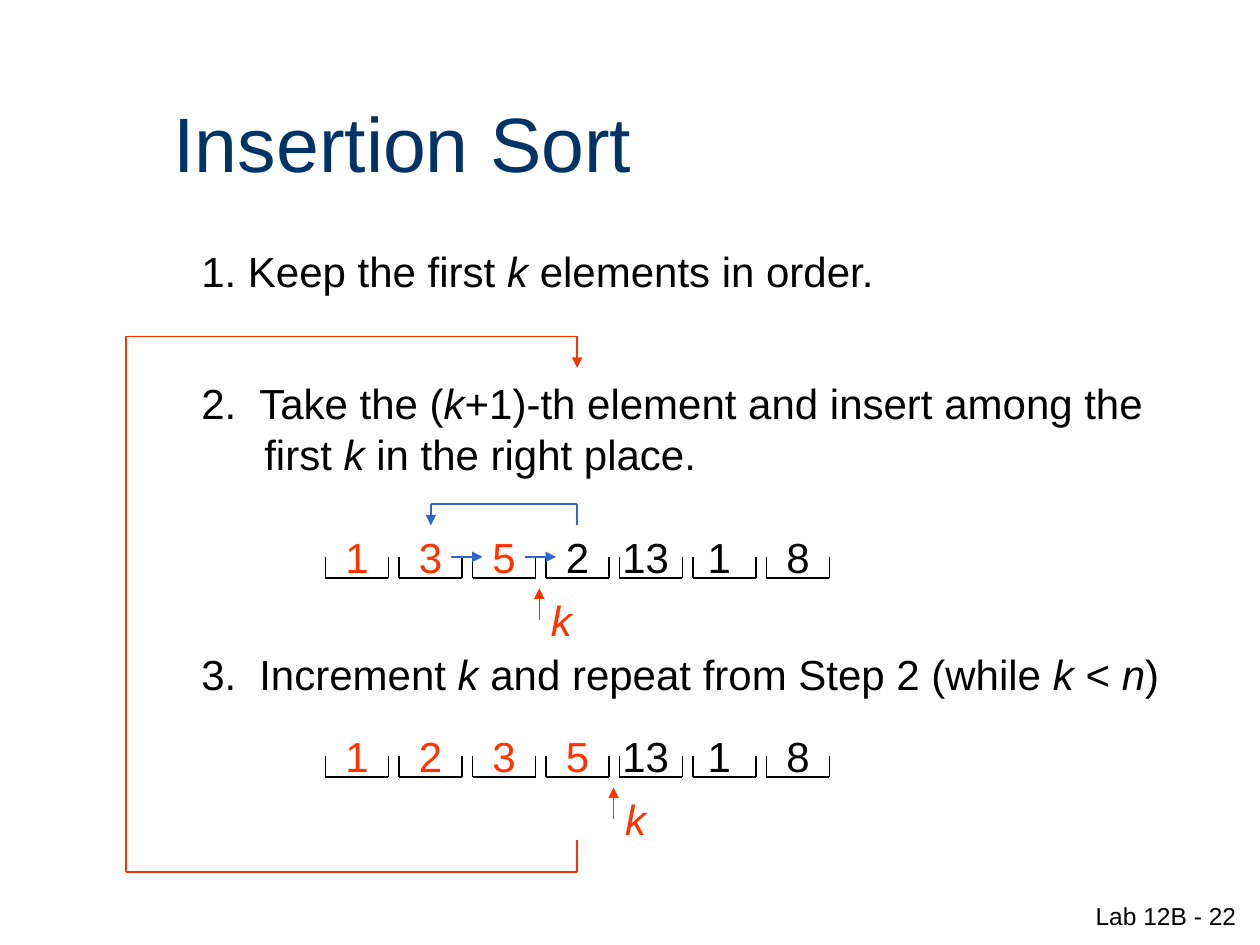
from dataclasses import dataclass
from itertools import pairwise

from pptx import Presentation
from pptx.dml.color import RGBColor
from pptx.enum.shapes import MSO_CONNECTOR
from pptx.enum.text import MSO_ANCHOR, PP_ALIGN
from pptx.oxml.ns import qn
from pptx.util import Inches, Pt
from lxml.etree import SubElement


@dataclass(frozen=True)
class Theme:
    """Hold the colours, font and sizes of the slide."""

    font: str = "Arial"
    black: str = "000000"
    navy: str = "003366"
    red: str = "FF3300"
    blue: str = "3366CC"
    title_size: int = 44
    body_size: int = 24
    footer_size: int = 14
    line_width: float = 0.75


THEME = Theme()
CELL_WIDTH = 0.5
CELL_PITCH = 7 / 12
ROW_LEFT = 31 / 12
BRACKET_HEIGHT = 1 / 6
WIDE_COLUMNS = (4, 5)


def add_text(page, at, *paragraphs, size=THEME.body_size, color=THEME.black,
             align=PP_ALIGN.LEFT, anchor=MSO_ANCHOR.TOP):
    """Add a text box; each paragraph lists plain and *italic* parts with its spacing."""
    box = page.shapes.add_textbox(*map(Inches, at))
    frame = box.text_frame
    frame.word_wrap = True
    frame.vertical_anchor = anchor
    for index, (text, before, margin, indent) in enumerate(paragraphs):
        para = frame.paragraphs[0] if index == 0 else frame.add_paragraph()
        para.alignment = align
        para.space_before = Pt(before)
        properties = para._p.get_or_add_pPr()
        properties.set("marL", str(Inches(margin)))
        properties.set("indent", str(Inches(indent)))
        for part, words in enumerate(text.split("*")):
            if words:
                span = para.add_run()
                span.text = words
                span.font.name = THEME.font
                span.font.size = Pt(size)
                span.font.italic = part % 2 == 1
                span.font.color.rgb = RGBColor.from_string(color)
    return box


def add_label(page, at, text, **text_format):
    """Add a text box with a single unindented paragraph."""
    return add_text(page, at, (text, 0, 0, 0), **text_format)


def add_path(page, points, color, arrow=False):
    """Join points with straight lines, with an optional arrowhead at the end."""
    for start, end in pairwise(points):
        line = page.shapes.add_connector(
            MSO_CONNECTOR.STRAIGHT, *map(Inches, (*start, *end)))
        line.line.width = Pt(THEME.line_width)
        line.line.color.rgb = RGBColor.from_string(color)
        SubElement(line._element.spPr, qn("a:effectLst"))
    if arrow:
        SubElement(line.line._get_or_add_ln(), qn("a:tailEnd"), type="triangle")


def add_array(page, top, values, sorted_count):
    """Draw a row of bracketed values with the sorted ones in red."""
    for column, value in enumerate(values):
        left = ROW_LEFT + column * CELL_PITCH
        right = left + CELL_WIDTH
        upper = top + 0.25
        lower = upper + BRACKET_HEIGHT
        add_path(page, [(left, upper), (left, lower), (right, lower), (right, upper)],
                 THEME.black)
        wide = column in WIDE_COLUMNS
        at = (left - 1 / 6, top, 0.75, 0.5) if wide else (left, top, CELL_WIDTH, 0.5)
        color = THEME.red if column < sorted_count else THEME.black
        add_label(page, at, value, color=color, align=PP_ALIGN.CENTER)


def add_marker(page, x, top):
    """Mark the boundary k with an upward arrow and a letter."""
    add_path(page, [(x, top + 0.25), (x, top)], THEME.red, arrow=True)
    add_label(page, (x - 0.2, top, 0.75, 0.5), "*k*",
              color=THEME.red, align=PP_ALIGN.CENTER)


def add_steps(page):
    """Write the three steps of the algorithm."""
    add_text(
        page, (1, 1.9, 8.5, 4.94),
        ("1. Keep the first *k* elements in order.", 0, 0.96, -0.46),
        ("2.\tTake the (*k*+1)-th element and insert among the", 46.7, 0.96, -0.46),
        ("first *k* in the right place.", 0, 1, 0),
        ("3.\tIncrement *k* and repeat from Step 2 (while *k* < *n*)", 97, 0.96, -0.46))


def add_moves(page):
    """Draw the loop back to step 2 and the moves inside the first array."""
    middle = 4.58
    add_path(page, [(middle, 6.67), (middle, 6.92), (1, 6.92), (1, 2.67),
                    (middle, 2.67), (middle, 2.92)], THEME.red, arrow=True)
    add_path(page, [(middle, 4.17), (middle, 4), (3.42, 4), (3.42, 4.17)],
             THEME.blue, arrow=True)
    for left in (3.58, 3.58 + CELL_PITCH):
        add_path(page, [(left, 4.42), (left + 0.25, 4.42)], THEME.blue, arrow=True)


def main():
    """Build the slide and save the deck."""
    deck = Presentation()
    deck.slide_width, deck.slide_height = Inches(10), Inches(7.5)
    page = deck.slides.add_slide(deck.slide_layouts[6])
    add_label(page, (7.83, 7.1, 2.08, 0.5), "Lab 12B - 22",
              size=THEME.footer_size, align=PP_ALIGN.RIGHT)
    add_label(page, (1.28, 0.5, 8.5, 1.25), "Insertion Sort",
              size=THEME.title_size, color=THEME.navy, anchor=MSO_ANCHOR.MIDDLE)
    add_steps(page)
    add_array(page, 4.17, ("1", "3", "5", "2", "13", "1", "8"), 3)
    add_marker(page, 4.28, 4.67)
    add_array(page, 5.75, ("1", "2", "3", "5", "13", "1", "8"), 4)
    add_marker(page, 4.87, 6.25)
    add_moves(page)
    deck.save("out.pptx")


if __name__ == "__main__":
    main()
